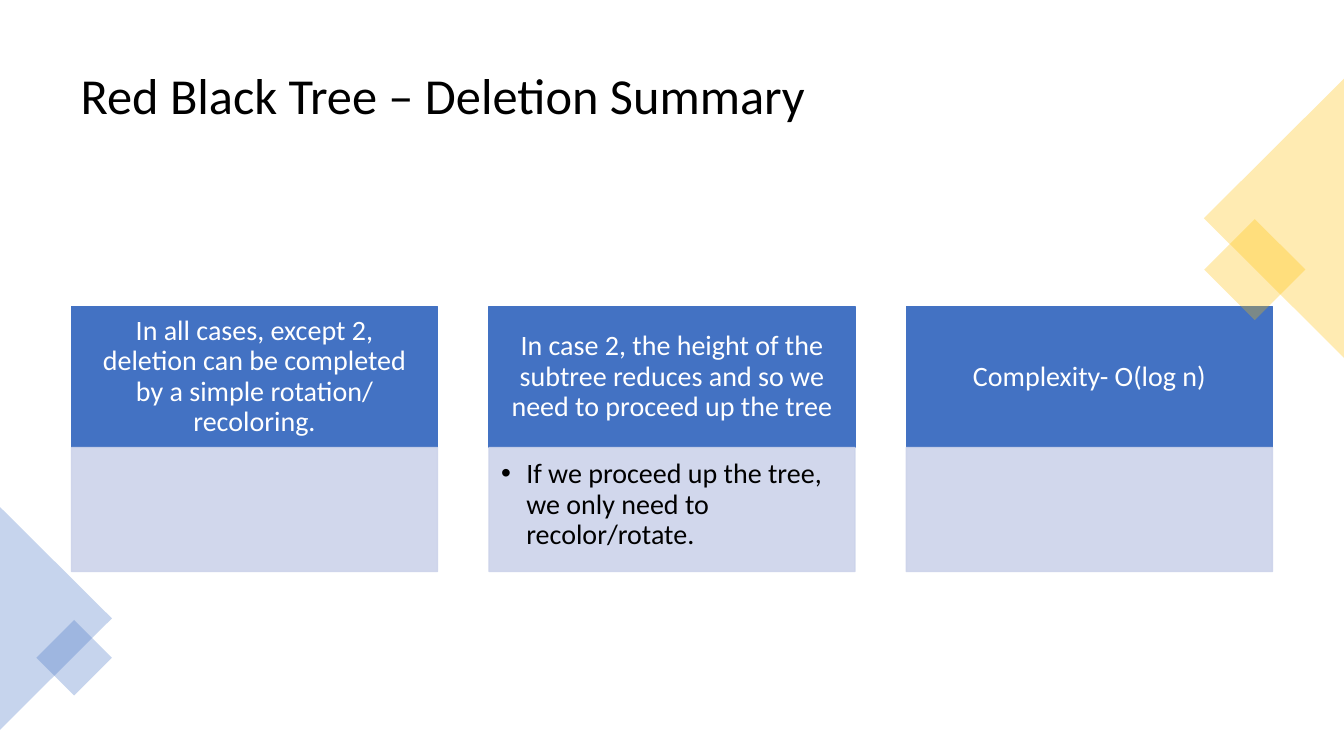
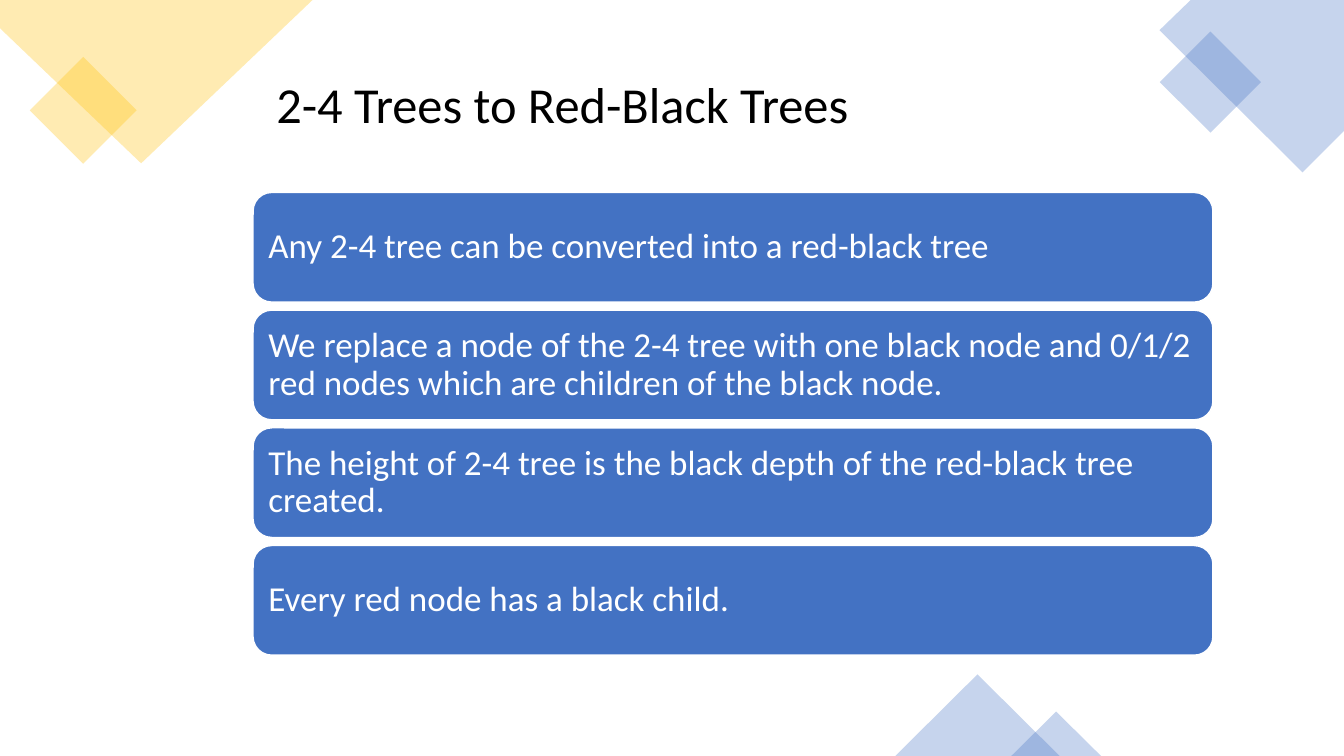
from lxml.etree import SubElement
from pptx import Presentation
from pptx.dml.color import RGBColor
from pptx.enum.shapes import MSO_SHAPE as Shape
from pptx.enum.text import MSO_ANCHOR as Anchor, PP_ALIGN as Align
from pptx.oxml.ns import qn
from pptx.util import Inches, Pt

FONT = "Calibri"
BLACK, WHITE = "000000", "FFFFFF"
PANEL, PALE = "4372C3", "CCD3EA"
GOLD, BLUE = "FFC000", "4472C4"
ACCENT_ALPHA = 30
TITLE_ONLY = 5

CARDS = [
    ("In all cases, except 2, deletion can be completed by a simple rotation/ recoloring.", ""),
    ("In case 2, the height of the subtree reduces and so we need to proceed up the tree",
     "If we proceed up the tree, we only need to recolor/rotate."),
    ("Complexity- O(log n)", ""),
]
BARS = [
    "Any 2-4 tree can be converted into a red-black tree",
    "We replace a node of the 2-4 tree with one black node and 0/1/2 red nodes "
    "which are children of the black node.",
    "The height of 2-4 tree is the black depth of the red-black tree created.",
    "Every red node has a black child.",
]


def inches(values):
    return [Inches(value) for value in values]


def paint(fill, color, alpha=100):
    fill.solid()
    fill.fore_color.rgb = RGBColor.from_string(color)
    if alpha < 100:
        tint = fill._xPr.find(qn("a:solidFill"))[0]
        SubElement(tint, qn("a:alpha"), val=str(alpha * 1000))


def style(shape, color, line=None, alpha=100):
    shape.shadow.inherit = False
    paint(shape.fill, color, alpha)
    if line:
        paint(shape.line.fill, line, alpha)
        shape.line.width = Pt(1)
    else:
        shape.line.fill.background()
    return shape


def add_box(page, kind, box, color, line=None, alpha=100, turn=0):
    shape = page.shapes.add_shape(kind, *inches(box))
    shape.rotation = turn
    return style(shape, color, line, alpha)


def write(shape, text, size, color, insets, align=Align.LEFT, anchor=Anchor.MIDDLE):
    frame = shape.text_frame
    frame.word_wrap = True
    frame.vertical_anchor = anchor
    (frame.margin_left, frame.margin_top,
     frame.margin_right, frame.margin_bottom) = inches(insets)
    para = frame.paragraphs[0]
    para.alignment = align
    para.line_spacing = 0.9
    span = para.add_run()
    span.text = text
    span.font.name = FONT
    span.font.size = Pt(size)
    span.font.color.rgb = RGBColor.from_string(color)
    return para


def add_bullet(para, indent):
    props = para._p.get_or_add_pPr()
    props.set("marL", str(Inches(indent)))
    props.set("indent", str(-Inches(indent)))
    SubElement(props, qn("a:buFont"), typeface="Arial")
    SubElement(props, qn("a:buChar"), char="•")


def add_page(deck, title, box, anchor):
    page = deck.slides.add_slide(deck.slide_layouts[TITLE_ONLY])
    holder = page.shapes.title
    holder.left, holder.top, holder.width, holder.height = inches(box)
    write(holder, title, 36, BLACK, (0.1, 0.05, 0.1, 0.05), anchor=anchor)
    return page


def add_accent(page, kind, box, color, turn=0):
    add_box(page, kind, box, color, alpha=ACCENT_ALPHA, turn=turn)


def add_diamond(page, left, top, side, color):
    add_accent(page, Shape.RECTANGLE, (left, top, side, side), color, 45)


def add_corner(page, points, color):
    corners = [inches(point) for point in points]
    builder = page.shapes.build_freeform(*corners[0])
    builder.add_line_segments(corners[1:], close=True)
    style(builder.convert_to_shape(), color, alpha=ACCENT_ALPHA)


def add_card(page, box, heading, detail):
    left, top, width, height = box
    head_height = 1.4
    head = add_box(page, Shape.RECTANGLE, (left, top, width, head_height), PANEL, PANEL)
    write(head, heading, 20, WHITE, (0.16, 0.09, 0.16, 0.09), Align.CENTER)
    body_box = (left, top + head_height, width, height - head_height)
    body = add_box(page, Shape.RECTANGLE, body_box, PALE, PALE, 90)
    if detail:
        para = write(body, detail, 20, BLACK, (0.12, 0.12, 0.16, 0.17), anchor=Anchor.TOP)
        add_bullet(para, 0.25)


def add_card_row(page, box, cards, gap):
    left, top, width, height = box
    card_width = (width - gap * (len(cards) - 1)) / len(cards)
    for index, (heading, detail) in enumerate(cards):
        card_box = (left + index * (card_width + gap), top, card_width, height)
        add_card(page, card_box, heading, detail)


def add_bar_stack(page, box, texts, gap):
    left, top, width, height = box
    bar_height = (height - gap * (len(texts) - 1)) / len(texts)
    for index, text in enumerate(texts):
        bar_box = (left, top + index * (bar_height + gap), width, bar_height)
        bar = add_box(page, Shape.ROUNDED_RECTANGLE, bar_box, PANEL, WHITE)
        bar.adjustments[0] = 0.17
        write(bar, text, 25, WHITE, (0.1, 0.1, 0.1, 0.1))


def build_summary(deck):
    page = add_page(deck, "Red Black Tree – Deletion Summary",
                    (0.7, 0.35, 11.93, 1.24), Anchor.MIDDLE)
    add_card_row(page, (0.71, 3.04, 11.91, 2.63), CARDS, 0.51)
    add_diamond(page, 12.09, 2.32, 0.71, GOLD)
    add_accent(page, Shape.ISOSCELES_TRIANGLE, (11.25, 1.47, 2.77, 1.39), GOLD, 270)
    add_accent(page, Shape.ISOSCELES_TRIANGLE, (-0.55, 5.58, 2.21, 1.11), BLUE, 90)
    add_diamond(page, 0.47, 6.26, 0.53, BLUE)


def build_conversion(deck):
    page = add_page(deck, "2-4 Trees to Red-Black Trees",
                    (2.64, 0.74, 9.19, 1.14), Anchor.TOP)
    add_diamond(page, 0.45, 0.72, 0.75, GOLD)
    add_corner(page, [(0, 0), (3.1, 0), (1.4, 1.62), (0, 0.28)], GOLD)
    add_corner(page, [(11.81, 0), (13.33, 0), (13.33, 1.3), (12.92, 1.71), (11.5, 0.3)], BLUE)
    add_diamond(page, 11.65, 0.46, 0.71, BLUE)
    add_bar_stack(page, (2.51, 1.91, 9.52, 4.59), BARS, 0.08)
    add_accent(page, Shape.ISOSCELES_TRIANGLE, (8.88, 6.69, 1.63, 0.81), BLUE)
    add_accent(page, Shape.ISOSCELES_TRIANGLE, (10.03, 7.06, 0.89, 0.44), BLUE)


def main():
    deck = Presentation()
    deck.slide_width, deck.slide_height = inches((13.33, 7.5))
    build_summary(deck)
    build_conversion(deck)
    deck.save("out.pptx")


if __name__ == "__main__":
    main()
